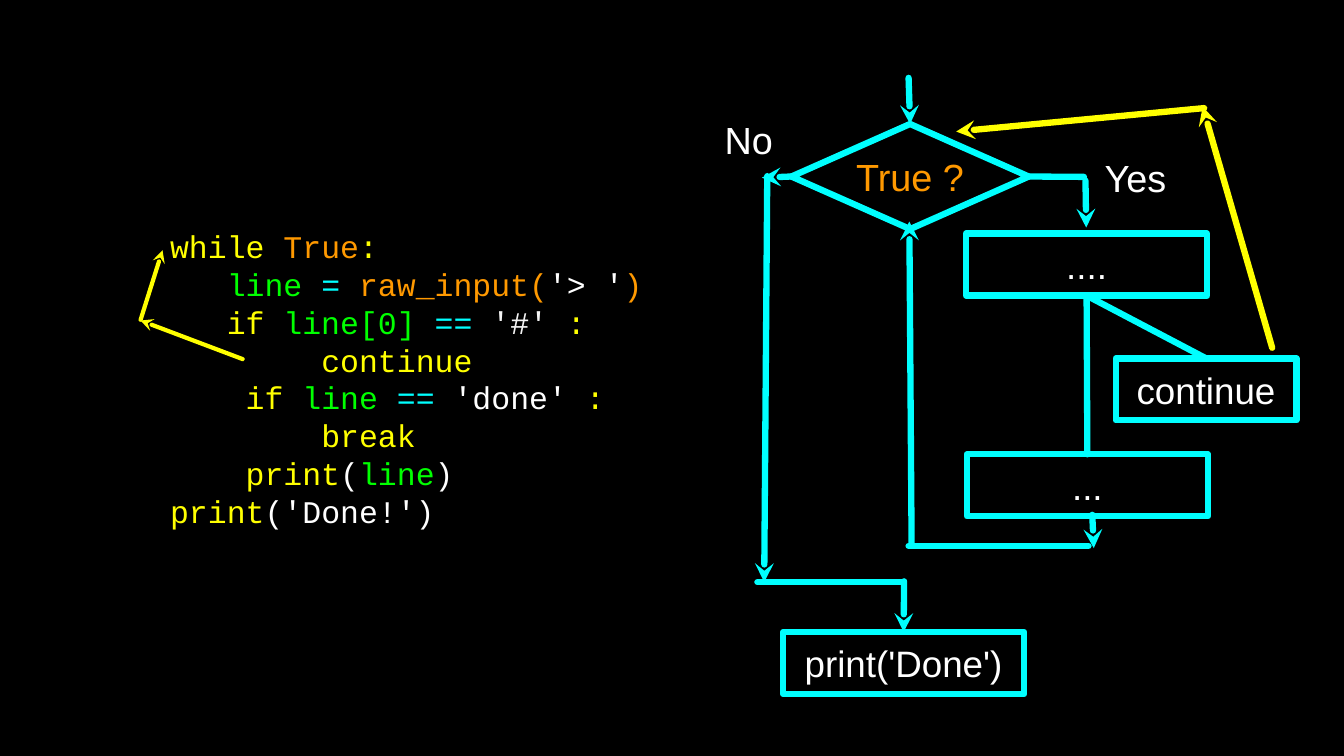
from dataclasses import dataclass

from lxml.etree import SubElement
from pptx import Presentation
from pptx.dml.color import RGBColor
from pptx.enum.shapes import MSO_CONNECTOR as Connector, MSO_SHAPE as Shape
from pptx.enum.text import MSO_ANCHOR as Anchor, PP_ALIGN as Align
from pptx.oxml.ns import qn
from pptx.util import Emu, Pt

PX = 9144  # EMU in one px: 100 px to the inch


@dataclass(frozen=True)
class Theme:
    background: str = "000000"
    flow: str = "00FFFF"
    keyword: str = "FFFF00"
    call: str = "FF9900"
    variable: str = "00FF00"
    plain: str = "FFFFFF"
    comment: str = "F3F3F3"
    label_font: str = "Arial"
    code_font: str = "Courier New"
    label_size: int = 36
    box_size: int = 35
    code_size: int = 30
    code_pitch: int = 36
    thick: int = 6
    thin: int = 4


THEME = Theme()
K, C, V, W, F = THEME.keyword, THEME.call, THEME.variable, THEME.plain, THEME.flow

CODE = [
    [("while ", K), ("True", C), (":", K)],
    [("   ", W), ("line ", V), ("= ", F), ("raw_input(", C), ("'> '", W), (")", C)],
    [("   ", W), ("if", K), (" line[0] ", V), ("== ", F),
     ("'#' ", THEME.comment), (":", K)],
    [("        ", W), ("continue", K)],
    [("    ", W), ("if ", K), ("line ", V), ("== ", F), ("'done' ", W), (":", K)],
    [("        ", W), ("break", K)],
    [("    ", W), ("print", K), ("(", W), ("line", V), (")", W)],
    [("print", K), ("('Done!')", W)],
]


def px(*lengths):
    return [Emu(round(length * PX)) for length in lengths]


def within(box, x, y):
    return box[0] + x, box[1] + y


def write(shape, lines, *, font=THEME.label_font, size=THEME.label_size,
          align=Align.CENTER, pitch=None):
    """Fill a shape with lines, each a list of (text, colour) pieces."""
    frame = shape.text_frame
    frame.word_wrap = True
    frame.vertical_anchor = Anchor.MIDDLE
    frame.margin_left = frame.margin_right = 0
    frame.margin_top = frame.margin_bottom = 0
    for number, pieces in enumerate(lines):
        line = frame.add_paragraph() if number else frame.paragraphs[0]
        line.alignment = align
        if pitch:
            line.line_spacing = Pt(pitch)
        for text, colour in pieces:
            run = line.add_run()
            run.text = text
            run.font.name = font
            run.font.size = Pt(size)
            run.font.color.rgb = RGBColor.from_string(colour)


def stroke(item, colour, width):
    """Draw a solid line with round joins; return its XML element."""
    item.line.color.rgb = RGBColor.from_string(colour)
    item.line.width = Pt(width)
    outline = item.line._get_or_add_ln()
    SubElement(outline, qn("a:round"))
    return outline


def node(slide, box, place, text, *, kind=Shape.RECTANGLE, colour=W,
         size=THEME.box_size):
    x, y, width, height = place
    shape = slide.shapes.add_shape(kind, *px(*within(box, x, y), width, height))
    shape.shadow.inherit = False
    shape.fill.background()
    stroke(shape, F, THEME.thick)
    write(shape, [[(text, colour)]], size=size)
    return shape


def label(slide, box, place, lines, **text_format):
    x, y, width, height = place
    text_box = slide.shapes.add_textbox(*px(*within(box, x, y), width, height))
    write(text_box, lines, **text_format)


def link(slide, box, start, end, *, arrow=False, colour=F, width=THEME.thick,
         leaves=None, enters=None):
    """Line from start to end; leaves and enters are (node, side) joints."""
    ends = px(*within(box, *start), *within(box, *end))
    line = slide.shapes.add_connector(Connector.STRAIGHT, *ends)
    if leaves:
        line.begin_connect(*leaves)
    if enters:
        line.end_connect(*enters)
    outline = stroke(line, colour, width)
    outline.set("cap", "rnd")
    if arrow:
        SubElement(outline, qn("a:tailEnd"), type="stealth")
    SubElement(line._element.spPr, qn("a:effectLst"))


def code_panel(slide, box):
    label(slide, box, (40, 0, 688, 485), CODE, font=THEME.code_font,
          size=THEME.code_size, align=Align.LEFT, pitch=THEME.code_pitch)
    # Jump from continue back to while
    for start, end in [((136, 217), (1, 166)), ((1, 165), (30, 73))]:
        link(slide, box, start, end, arrow=True, colour=K, width=THEME.thin)


def flowchart(slide, box):
    # Nodes and branch labels
    test = node(slide, box, (97, 64, 314, 139), "True ?", kind=Shape.DIAMOND,
                colour=C, size=THEME.label_size)
    first_step = node(slide, box, (328, 209, 319, 82), "....")
    last_step = node(slide, box, (329, 501, 319, 82), "...")
    skip = node(slide, box, (526, 374, 239, 82), "continue")
    done = node(slide, box, (86, 736, 319, 82), "print('Done')")
    label(slide, box, (1, 51, 79, 68), [[("No", W)]])
    label(slide, box, (504, 100, 96, 68), [[("Yes", W)]])

    # Entry and Yes branch
    link(slide, box, (252, 3), (254, 64), arrow=True, enters=(test, 0))
    link(slide, box, (411, 133), (484, 134), leaves=(test, 3))
    link(slide, box, (486, 139), (487, 201), arrow=True)

    # Loop body
    link(slide, box, (487, 291), (488, 501),
         leaves=(first_step, 2), enters=(last_step, 0))
    link(slide, box, (487, 291), (645, 374),
         leaves=(first_step, 2), enters=(skip, 0))
    link(slide, box, (495, 581), (497, 625), arrow=True)
    link(slide, box, (490, 622), (252, 622))
    link(slide, box, (256, 622), (253, 193), arrow=True)

    # No branch
    link(slide, box, (97, 133), (58, 135), arrow=True, leaves=(test, 1))
    link(slide, box, (65, 133), (61, 670), arrow=True)
    link(slide, box, (52, 670), (244, 670))
    link(slide, box, (246, 669), (245, 736), arrow=True, enters=(done, 0))

    # Jump from continue back to the test
    for start, end in [((733, 360), (641, 41)), ((643, 43), (315, 74))]:
        link(slide, box, start, end, arrow=True, colour=K)


def main():
    deck = Presentation()
    deck.slide_width, deck.slide_height = px(1778, 1000)
    slide = deck.slides.add_slide(deck.slide_layouts[6])
    backdrop = slide.background.fill
    backdrop.solid()
    backdrop.fore_color.rgb = RGBColor.from_string(THEME.background)
    code_panel(slide, (185, 258))
    flowchart(slide, (950, 100))
    deck.save("out.pptx")


if __name__ == "__main__":
    main()
